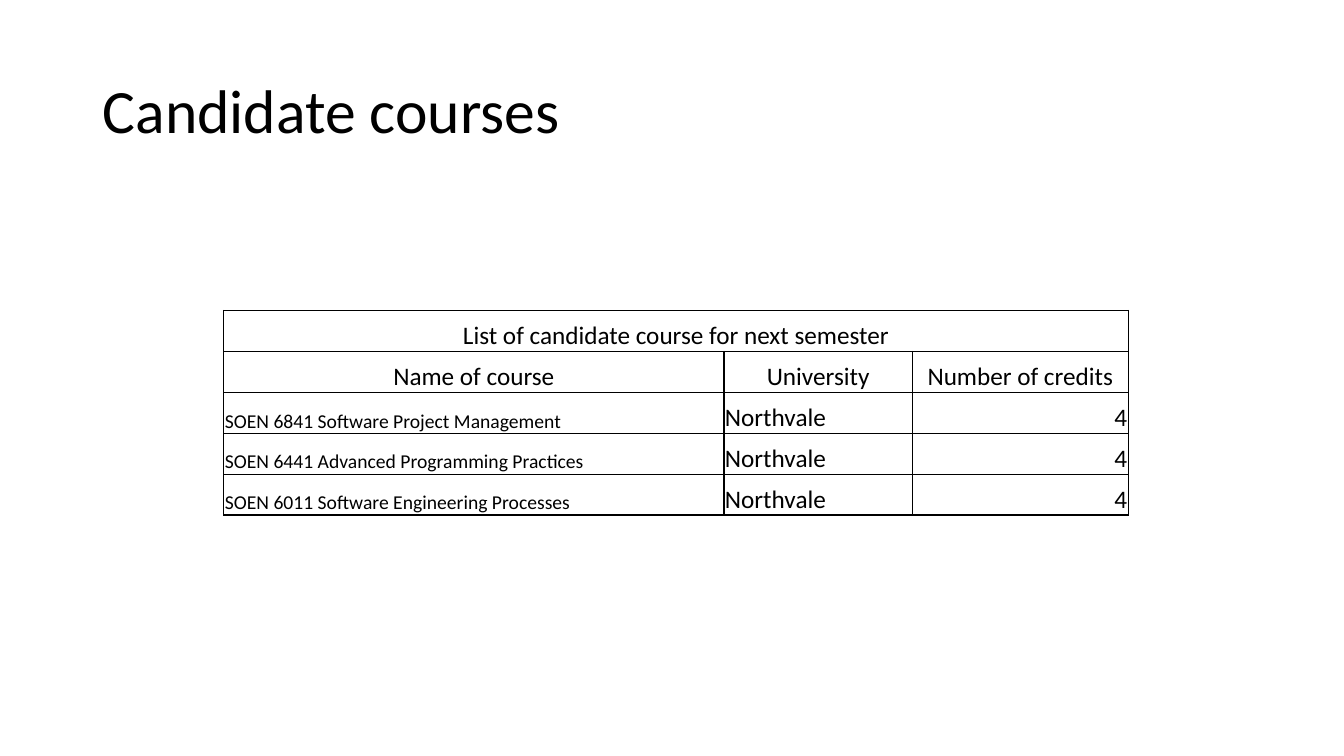
from dataclasses import dataclass

from lxml import etree
from pptx import Presentation
from pptx.dml.color import RGBColor
from pptx.enum.text import MSO_ANCHOR, PP_ALIGN
from pptx.oxml.ns import qn
from pptx.util import Inches, Pt

LEFT, CENTER, RIGHT = PP_ALIGN.LEFT, PP_ALIGN.CENTER, PP_ALIGN.RIGHT
MIDDLE, BOTTOM = MSO_ANCHOR.MIDDLE, MSO_ANCHOR.BOTTOM
BLACK = RGBColor(0x00, 0x00, 0x00)
FONT = "Calibri"
SLIDE_W, SLIDE_H = Inches(13.33), Inches(7.5)
TABLE_LEFT, TABLE_TOP = Inches(2.22), Inches(3.08)
ROW_H = Inches(0.406)
BORDER_PT = 1
INSET = Inches(0.01)


@dataclass(frozen=True)
class Column:
    """A table column: heading, width in inches, body alignment and size."""
    heading: str
    width: float
    align: PP_ALIGN
    size: int


COLUMNS = (
    Column("Name of course", 4.96, LEFT, 14),
    Column("University", 1.87, LEFT, 18),
    Column("Number of credits", 2.14, RIGHT, 18),
)
CAPTION = "List of candidate course for next semester"
HEADING_SIZE = 18
COURSES = (
    ("SOEN 6841 Software Project Management\u00a0", "Northvale", "4"),
    ("SOEN 6441 Advanced Programming Practices", "Northvale", "4"),
    ("SOEN 6011 Software Engineering Processes", "Northvale", "4"),
)


def write(tf, text: str, size: int, align: PP_ALIGN):
    """Add one black run to the first paragraph and return the paragraph."""
    p = tf.paragraphs[0]
    p.alignment = align
    r = p.add_run()
    r.text = text
    r.font.name, r.font.size = FONT, Pt(size)
    r.font.color.rgb = BLACK
    return p


def add_borders(cell) -> None:
    """Draw a solid black line on every side of a cell."""
    tc_pr = cell._tc.get_or_add_tcPr()
    for i, side in enumerate(("a:lnL", "a:lnR", "a:lnT", "a:lnB")):
        ln = etree.Element(qn(side), w=str(Pt(BORDER_PT)))
        fill = etree.SubElement(ln, qn("a:solidFill"))
        etree.SubElement(fill, qn("a:srgbClr"), val=str(BLACK))
        tc_pr.insert(i, ln)


def format_cell(cell) -> None:
    """Give a cell no fill, tight margins, bottom anchoring and borders."""
    cell.fill.background()
    cell.vertical_anchor = BOTTOM
    cell.margin_left = cell.margin_right = cell.margin_top = INSET
    cell.margin_bottom = 0
    add_borders(cell)


def add_title(s, text: str) -> None:
    """Place and fill the title placeholder."""
    sp = s.shapes.title
    sp.left, sp.top = Inches(0.92), Inches(0.4)
    sp.width, sp.height = Inches(11.5), Inches(1.45)
    tf = sp.text_frame
    tf.word_wrap, tf.vertical_anchor = True, MIDDLE
    write(tf, text, 44, LEFT).line_spacing = 0.9


def add_course_table(s) -> None:
    """Add the table with a merged caption, headings and courses."""
    n_rows, n_cols = len(COURSES) + 2, len(COLUMNS)
    width = Inches(sum(c.width for c in COLUMNS))
    table = s.shapes.add_table(n_rows, n_cols, TABLE_LEFT, TABLE_TOP,
                               width, ROW_H * n_rows).table
    table.first_row = table.horz_banding = False
    for row in table.rows:
        row.height = ROW_H
    for cell in table.iter_cells():
        format_cell(cell)
    table.cell(0, 0).merge(table.cell(0, n_cols - 1))
    write(table.cell(0, 0).text_frame, CAPTION, HEADING_SIZE, CENTER)
    for j, column in enumerate(COLUMNS):
        table.columns[j].width = Inches(column.width)
        write(table.cell(1, j).text_frame, column.heading, HEADING_SIZE, CENTER)
        for i, course in enumerate(COURSES, start=2):
            write(table.cell(i, j).text_frame, course[j], column.size, column.align)


def main() -> None:
    """Build the slide and save it."""
    prs = Presentation()
    prs.slide_width, prs.slide_height = SLIDE_W, SLIDE_H
    s = prs.slides.add_slide(prs.slide_layouts[5])
    add_course_table(s)
    add_title(s, "Candidate courses")
    prs.save("out.pptx")


main()
